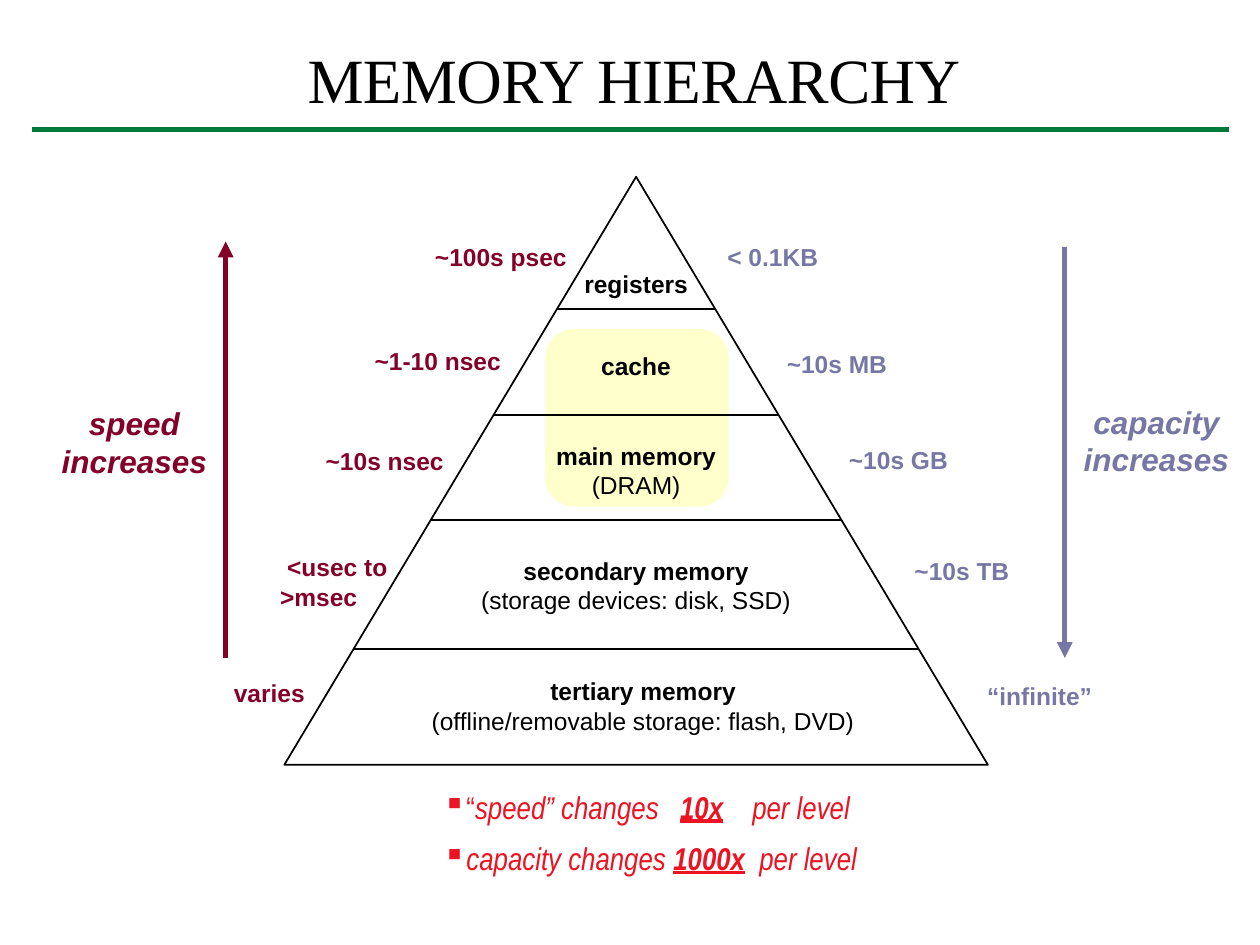
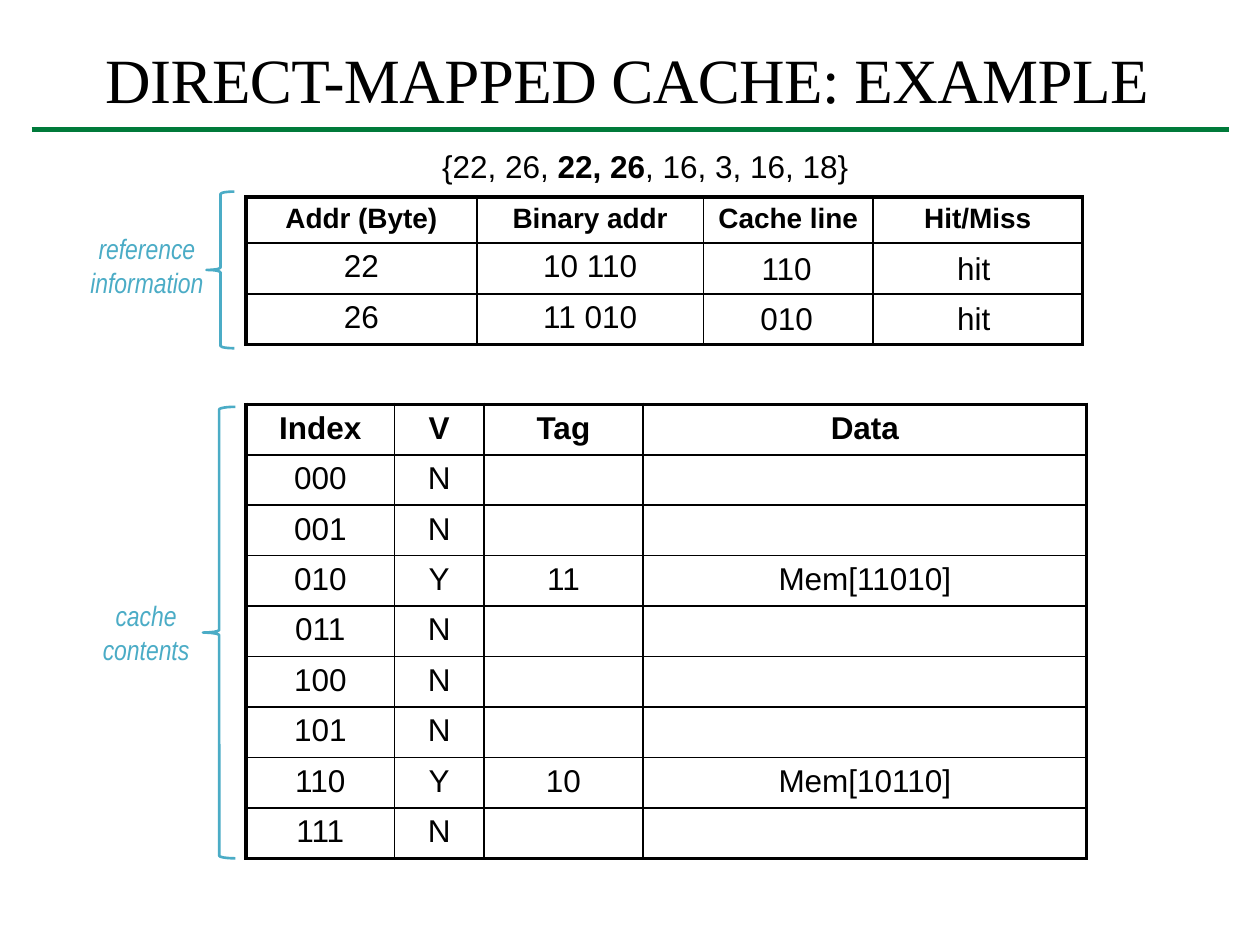
import lxml.etree
import pptx
import pptx.chart.data
import pptx.dml.color
import pptx.enum.shapes
import pptx.enum.text
import pptx.oxml.ns
import pptx.util

Pt = pptx.util.Pt
RGBColor = pptx.dml.color.RGBColor
SHAPE = pptx.enum.shapes.MSO_SHAPE
LEFT = pptx.enum.text.PP_ALIGN.LEFT
CENTER = pptx.enum.text.PP_ALIGN.CENTER
qn = pptx.oxml.ns.qn

BLACK = RGBColor(0x00, 0x00, 0x00)
GREEN = RGBColor(0x00, 0x7A, 0x3A)
SPEED = RGBColor(0x84, 0x00, 0x28)
CAPACITY = RGBColor(0x77, 0x77, 0xA5)
RED = RGBColor(0xEC, 0x13, 0x22)
TEAL = RGBColor(0x4B, 0xAC, 0xC6)
YELLOW = RGBColor(0xFF, 0xFF, 0x00)

SERIF, SANS, NARROW = "Times New Roman", "Arial", "Arial Narrow"

# name, detail, top, width, rightward nudge
LEVELS = [
    ("registers", None, 49, 107, 0),
    ("cache", None, 96, 66, 0),
    ("main memory", "(DRAM)", 147.5, 192, 0),
    ("secondary memory", "(storage devices: disk, SSD)", 213, 273, 0),
    ("tertiary memory", "(offline/removable storage: flash, DVD)", 282, 372, 4),
]
DIVIDERS = [75.5, 136, 196, 270]
# text, left, top, width
SPEED_LABELS = [
    ("~100s psec", 79, 34, 92),
    ("~1-10 nsec", 44.5, 93, 89),
    ("~10s nsec", 16.5, 150.5, 85),
    ("<usec to\n>msec", -13, 211, 83),
    ("varies", -36, 283, 71),
]
CAPACITY_LABELS = [
    ("< 0.1KB", 246, 34, 71),
    ("~10s MB", 280, 95, 73),
    ("~10s GB", 315.5, 150, 79),
    ("~10s TB", 353, 213, 83),
    ("“infinite”", 394.5, 284.5, 84),
]

REFERENCES = [
    ["Addr (Byte)", "Binary addr", "Cache line", "Hit/Miss"],
    ["22", "10 110", "", ""],
    ["26", "11 010", "", ""],
]
OUTCOMES = [("110", "hit"), ("010", "hit")]
CACHED = {"010": ["Y", "11", "Mem[11010]"], "110": ["Y", "10", "Mem[10110]"]}
CACHE_LINES = [["Index", "V", "Tag", "Data"]] + [
    [index] + CACHED.get(index, ["N", "", ""])
    for index in (f"{number:03b}" for number in range(8))
]


def style(run, size, colour=BLACK, font=SANS, bold=False, italic=False, spacing=0):
    run.font.name, run.font.size = font, Pt(size)
    run.font.bold, run.font.italic = bold, italic
    run.font.color.rgb = colour
    if spacing:
        run.font._element.set("spc", str(round(spacing * 100)))


def add_run(paragraph, text, size, **look):
    run = paragraph.add_run()
    run.text = text
    style(run, size, **look)
    return run


def add_text(slide, text, left, top, width, height, size, align=LEFT, **look):
    box = slide.shapes.add_textbox(Pt(left), Pt(top), Pt(width), Pt(height))
    frame = box.text_frame
    frame.word_wrap = True
    frame.text = text
    for paragraph in frame.paragraphs:
        paragraph.alignment = align
        for run in paragraph.runs:
            style(run, size, **look)
    return frame


def add_line(slide, x1, y1, x2, y2, colour=BLACK, width=1, arrow=False):
    line = slide.shapes.add_connector(
        pptx.enum.shapes.MSO_CONNECTOR.STRAIGHT, Pt(x1), Pt(y1), Pt(x2), Pt(y2))
    line.line.color.rgb, line.line.width = colour, Pt(width)
    if arrow:
        lxml.etree.SubElement(line.line._get_or_add_ln(), qn("a:tailEnd"), type="triangle")
    lxml.etree.SubElement(line._element.spPr, qn("a:effectLst"))


def add_outline(slide, kind, left, top, width, height, colour, line_width):
    shape = slide.shapes.add_shape(kind, Pt(left), Pt(top), Pt(width), Pt(height))
    shape.shadow.inherit = False
    shape.fill.background()
    shape.line.color.rgb, shape.line.width = colour, Pt(line_width)


def add_heading(slide, text, left, width):
    """Title with the green rule below it."""
    frame = add_text(slide, text, left, 24.5, width, 61, 36, CENTER, font=SERIF, spacing=-0.3)
    frame.paragraphs[0].line_spacing = 0.9
    add_line(slide, 18, 74, 702, 74, GREEN, 3)


def add_highlight(slide, left, top, width, height):
    shape = slide.shapes.add_shape(
        SHAPE.ROUNDED_RECTANGLE, Pt(left), Pt(top), Pt(width), Pt(height))
    shape.shadow.inherit = False
    shape.line.fill.background()
    shape.fill.solid()
    shape.fill.fore_color.rgb = YELLOW
    colour = shape._element.spPr.find(".//" + qn("a:srgbClr"))
    lxml.etree.SubElement(colour, qn("a:alpha"), val="20000")


def add_pyramid(slide, left, top, width, height):
    apex = left + width / 2
    add_highlight(slide, left + 149, top + 87, 105, 101.5)
    add_outline(slide, SHAPE.ISOSCELES_TRIANGLE, left, top, width, height, BLACK, 1)
    for depth in DIVIDERS:
        half = width / 2 * depth / height
        add_line(slide, apex - half, top + depth, apex + half, top + depth)
    for name, detail, depth, box_width, nudge in LEVELS:
        text = f"{name}\n{detail}" if detail else name
        frame = add_text(slide, text, apex - box_width / 2 + nudge, top + depth, box_width,
                         41 if detail else 24.5, 14, CENTER, bold=True)
        for paragraph in frame.paragraphs[1:]:
            paragraph.runs[0].font.bold = False
    for labels, colour in ((SPEED_LABELS, SPEED), (CAPACITY_LABELS, CAPACITY)):
        for text, x, y, box_width in labels:
            frame = add_text(slide, text, left + x, top + y, box_width,
                             41 if "\n" in text else 24.5, 14, colour=colour, bold=True)
            for paragraph, indent in zip(frame.paragraphs, (7.5, 3.5) if "\n" in text else ()):
                paragraph._p.get_or_add_pPr().set("marL", str(Pt(indent)))


def add_trend(slide, text, text_left, text_top, x, start, end, colour):
    """Arrow with the quantity that grows along it."""
    add_line(slide, x, start, x, end, colour, 3, arrow=True)
    add_text(slide, text, text_left, text_top, 104.5, 51, 18, CENTER,
             colour=colour, bold=True, italic=True)


def add_bullet(paragraph):
    properties = paragraph._p.get_or_add_pPr()
    properties.set("marL", str(Pt(13.5)))
    properties.set("indent", str(-Pt(13.5)))
    colour = lxml.etree.SubElement(properties, qn("a:buClr"))
    lxml.etree.SubElement(colour, qn("a:srgbClr"), val=str(RED))
    lxml.etree.SubElement(properties, qn("a:buChar"), char="▪")


def add_level_ratios(slide, left, top, width, height):
    frame = add_text(slide, "", left, top, width, height, 18)
    rows = [("“", "speed” changes", 8, "10x", 12.5), ("", "capacity changes", 0, "1000x", 4)]
    for number, (quote, subject, gap_before, factor, gap_after) in enumerate(rows):
        paragraph = frame.add_paragraph() if number else frame.paragraphs[0]
        add_bullet(paragraph)
        paragraph.line_spacing = 0.85
        if number:
            paragraph.space_before = Pt(11)
        look = dict(size=18, colour=RED, font=NARROW)
        if quote:
            add_run(paragraph, quote, **look)
        add_run(paragraph, subject, italic=True, **look)
        add_run(paragraph, " ", italic=True, spacing=gap_before, **look)
        add_run(paragraph, factor, italic=True, bold=True, **look).font.underline = True
        add_run(paragraph, " ", italic=True, spacing=gap_after, **look)
        add_run(paragraph, "per level", italic=True, **look)


def set_borders(cell, widths):
    """Black borders, widths in the order left, right, top, bottom."""
    properties = cell._tc.get_or_add_tcPr()
    for position, (side, width) in enumerate(zip("LRTB", widths)):
        line = lxml.etree.Element(qn(f"a:ln{side}"), w=str(Pt(width)))
        fill = lxml.etree.SubElement(line, qn("a:solidFill"))
        lxml.etree.SubElement(fill, qn("a:srgbClr"), val=str(BLACK))
        properties.insert(position, line)


def add_grid(slide, rows, left, top, column_widths, row_heights, header_size, row_line):
    """Table with a heavy frame; row_line is the width of lines between body rows."""
    frame = slide.shapes.add_table(len(rows), len(column_widths), Pt(left), Pt(top),
                                   Pt(sum(column_widths)), Pt(sum(row_heights)))
    table = frame.table
    table.first_row = table.horz_banding = False
    for column, width in zip(table.columns, column_widths):
        column.width = Pt(width)
    for row, height in zip(table.rows, row_heights):
        row.height = Pt(height)
    horizontal = [2.25, 1.5] + [row_line] * (len(rows) - 2) + [2.25]
    vertical = [2.25] + [1] * (len(column_widths) - 1) + [2.25]
    for r, values in enumerate(rows):
        for c, value in enumerate(values):
            cell = table.cell(r, c)
            cell.fill.background()
            set_borders(cell, (vertical[c], vertical[c + 1], horizontal[r], horizontal[r + 1]))
            paragraph = cell.text_frame.paragraphs[0]
            paragraph.alignment = CENTER
            if value:
                add_run(paragraph, value, 18 if r else header_size, bold=r == 0)


def add_brace(slide, left, top, width, height, text, text_left, text_top, text_width):
    add_outline(slide, SHAPE.LEFT_BRACE, left, top, width, height, TEAL, 1.5)
    add_text(slide, text, text_left, text_top, text_width, 46, 16, CENTER,
             colour=TEAL, font=NARROW, italic=True)


def add_references(slide, left, top):
    add_grid(slide, REFERENCES, left, top, [132, 129.5, 97, 119.5], [26, 29, 29], 16, 1.5)
    for number, (line, outcome) in enumerate(OUTCOMES):
        y = top + 26.5 + 28.5 * number
        add_text(slide, line, left + 281, y, 56, 29, 18, CENTER)
        add_text(slide, outcome, left + 390, y, 52, 29, 18, CENTER)
    add_brace(slide, left - 22.5, top - 3, 16, 89.5,
              "reference\ninformation", left - 96.5, top + 16.5, 80)


def add_cache_contents(slide, left, top):
    add_grid(slide, CACHE_LINES, left, top, [85, 51, 91, 253.5], [27.4] * 9, 18, 1)
    add_brace(slide, left - 24.5, top + 1.5, 18.5, 258,
              "cache\ncontents", left - 89.5, top + 107.5, 65)


def build_hierarchy_slide(slide):
    add_heading(slide, "MEMORY HIERARCHY", 18, 688.5)
    add_pyramid(slide, 162.5, 101, 402, 336)
    add_trend(slide, "speed\nincreases", 24.5, 227.5, 129, 376, 138, SPEED)
    add_trend(slide, "capacity\nincreases", 608.5, 226.5, 608.5, 141, 376, CAPACITY)
    add_level_ratios(slide, 246, 450, 544, 55)


def build_cache_slide(slide):
    add_heading(slide, "DIRECT-MAPPED CACHE: EXAMPLE", 11.5, 693.5)
    add_cache_contents(slide, 140.5, 231)
    add_references(slide, 140.5, 112.5)
    frame = add_text(slide, "", 245.5, 80.5, 254, 29, 18)
    for text, bold in (("{22, 26, ", False), ("22, 26", True), (", 16, 3, 16, 18}", False)):
        add_run(frame.paragraphs[0], text, 18, bold=bold)


def main():
    presentation = pptx.Presentation()
    presentation.slide_width, presentation.slide_height = Pt(720), Pt(540)
    blank = presentation.slide_layouts[6]
    for build in (build_hierarchy_slide, build_cache_slide):
        build(presentation.slides.add_slide(blank))
    presentation.save("out.pptx")


if __name__ == "__main__":
    main()
